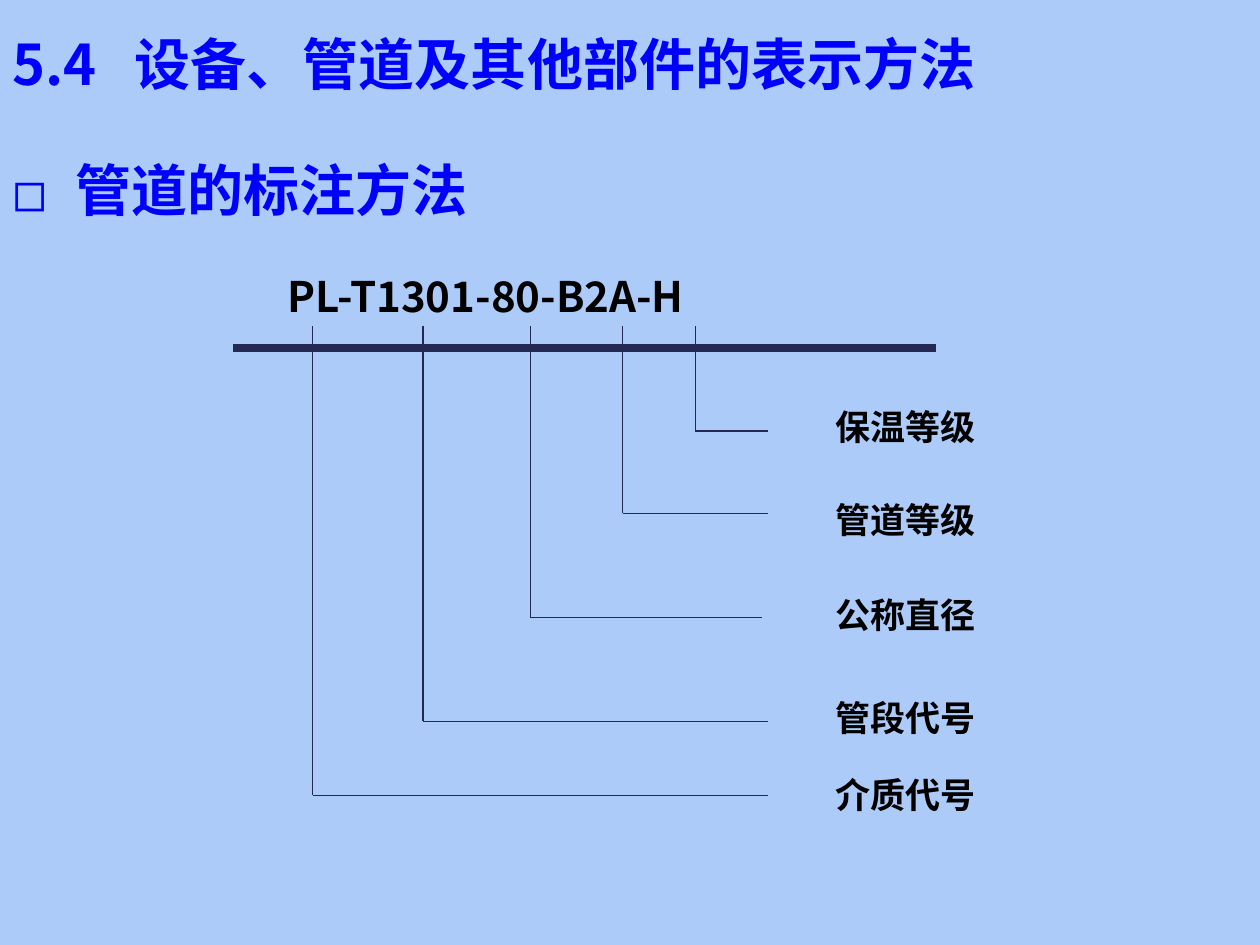
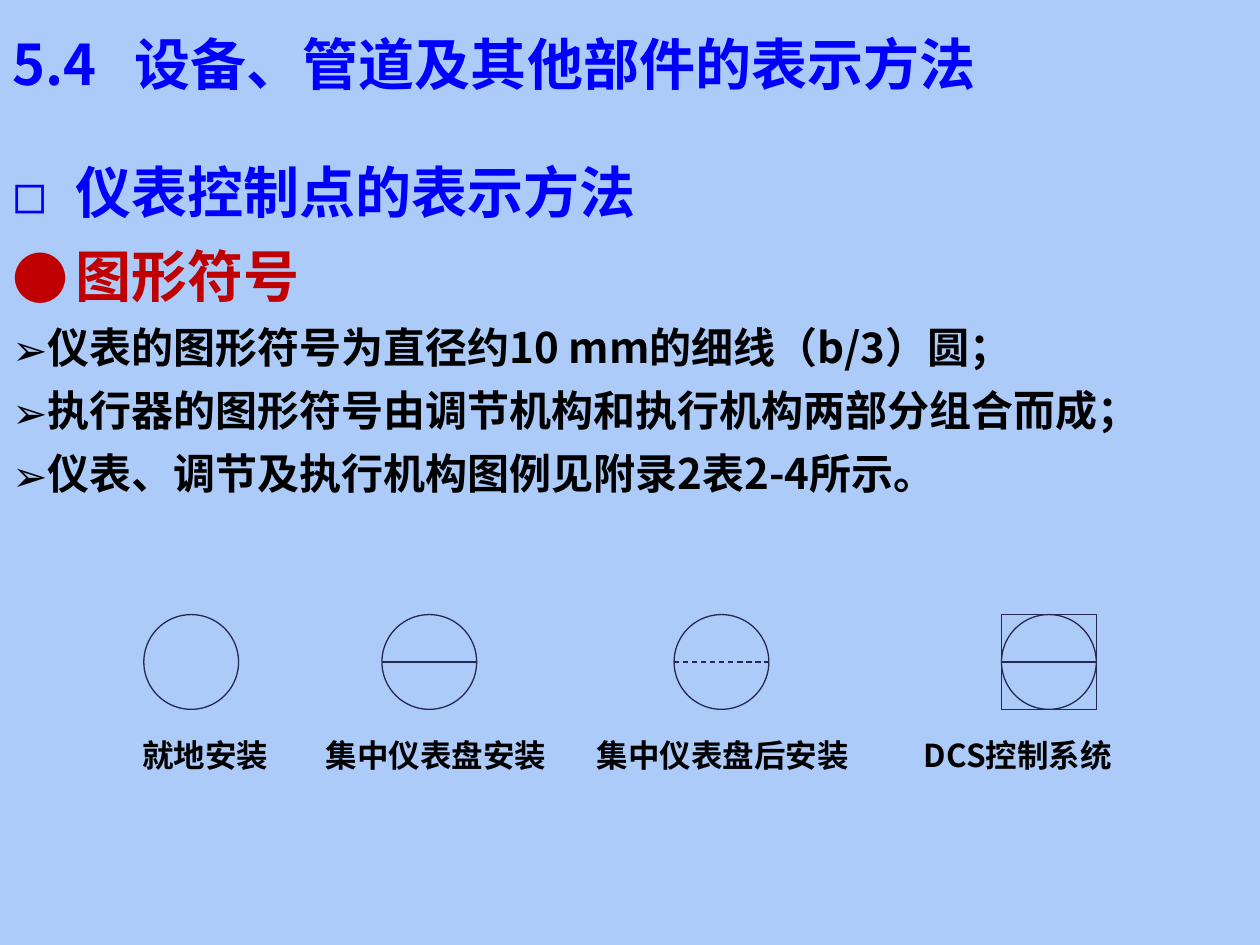
from lxml.etree import SubElement
from pptx import Presentation
from pptx.dml.color import RGBColor
from pptx.enum.dml import MSO_LINE
from pptx.enum.shapes import MSO_CONNECTOR, MSO_SHAPE
from pptx.enum.text import MSO_ANCHOR, PP_ALIGN
from pptx.oxml.ns import qn
from pptx.util import Cm, Pt

BACKGROUND = RGBColor(0xAC, 0xCB, 0xF9)
NAVY = RGBColor(0x24, 0x28, 0x52)
BLUE = RGBColor(0x00, 0x00, 0xFF)
RED = RGBColor(0xC0, 0x00, 0x00)
BLACK = RGBColor(0x00, 0x00, 0x00)
FONT = "Noto Sans CJK SC"
TITLE = "5.4\t设备、管道及其他部件的表示方法"


def add_text(text, page=None, place=None, frame=None, size=32, color=BLUE, bullet=None,
             indent=0, tab=None, spacing=None, align=PP_ALIGN.LEFT, anchor=MSO_ANCHOR.TOP):
    if frame is None:
        frame = page.shapes.add_textbox(*[Cm(length) for length in place]).text_frame
        frame.word_wrap = True
        frame.vertical_anchor = anchor
        para = frame.paragraphs[0]
    else:
        para = frame.add_paragraph()
    properties = para._p.get_or_add_pPr()
    if bullet:
        properties.set("marL", str(Cm(indent)))
        properties.set("indent", str(-Cm(indent)))
        bullet_color = SubElement(properties, qn("a:buClr"))
        SubElement(bullet_color, qn("a:srgbClr"), val=str(color))
        SubElement(properties, qn("a:buFont"), typeface=FONT)
        SubElement(properties, qn("a:buChar"), char=bullet)
    if tab:
        tabs = SubElement(properties, qn("a:tabLst"))
        SubElement(tabs, qn("a:tab"), pos=str(Cm(tab)), algn="l")
    para.alignment = align
    para.line_spacing = spacing
    span = para.add_run()
    span.text = text
    span.font.name = FONT
    span.font.size = Pt(size)
    span.font.bold = True
    span.font.color.rgb = color
    SubElement(span._r.get_or_add_rPr(), qn("a:ea"), typeface=FONT)
    return frame


def add_line(page, x1, y1, x2, y2, width=0.75, dash=None):
    line = page.shapes.add_connector(MSO_CONNECTOR.STRAIGHT, Cm(x1), Cm(y1), Cm(x2), Cm(y2))
    line.line.color.rgb = NAVY
    line.line.width = Pt(width)
    if dash:
        line.line.dash_style = dash
    SubElement(line._element.spPr, qn("a:effectLst"))


deck = Presentation()
deck.slide_width, deck.slide_height = Cm(25.4), Cm(19.05)
pages = [deck.slides.add_slide(deck.slide_layouts[6]) for _ in range(2)]
for page in pages:
    page.background.fill.solid()
    page.background.fill.fore_color.rgb = BACKGROUND
    add_text(TITLE, page, (0, 0.33, 25.4, 1.88), tab=2.47, anchor=MSO_ANCHOR.MIDDLE)
pipe_page, instrument_page = pages

add_text("管道的标注方法", pipe_page, (0, 2.69, 25.1, 1.9), bullet="◻", indent=1.27,
         spacing=1.25, anchor=MSO_ANCHOR.MIDDLE)
add_line(pipe_page, 4.7, 7.01, 18.87, 7.01, width=4.5)
add_text("PL-T1301-80-B2A-H", pipe_page, (5.54, 5.33, 13.13, 1.27), size=24, color=BLACK)

code_parts = [
    ("介质代号", 6.3, 16.03, 15.49, 15.47),
    ("管段代号", 8.53, 14.54, 15.49, 13.92),
    ("公称直径", 10.69, 12.45, 15.37, 11.84),
    ("管道等级", 12.55, 10.35, 15.49, 9.93),
    ("保温等级", 14.02, 8.69, 15.49, 8.05),
]
for label, x, bottom, end, label_top in code_parts:
    add_line(pipe_page, x, 6.58, x, bottom)
    add_line(pipe_page, x, bottom, end, bottom)
    add_text(label, pipe_page, (16.59, label_top, 5.7, 1.12), size=20, color=BLACK)

body = add_text("仪表控制点的表示方法", instrument_page, (0, 2.72, 25.1, 7.42), bullet="◻",
                indent=1.27, spacing=1.25, align=PP_ALIGN.JUSTIFY)
add_text("图形符号", frame=body, color=RED, bullet="●", indent=1.27, spacing=1.25,
         align=PP_ALIGN.JUSTIFY)
rules = [
    "仪表的图形符号为直径约10 mm的细线（b/3）圆；",
    "执行器的图形符号由调节机构和执行机构两部分组合而成；",
    "仪表、调节及执行机构图例见附录2表2-4所示。",
]
for rule in rules:
    add_text(rule, frame=body, size=24, color=BLACK, bullet="➢", spacing=1.25,
             align=PP_ALIGN.JUSTIFY)

symbol_top, symbol_size = 12.39, 1.91
symbol_middle = symbol_top + symbol_size / 2
symbols = [
    ("就地安装", 2.9, 4.14, [MSO_SHAPE.OVAL], None),
    ("集中仪表盘安装", 7.7, 8.79, [MSO_SHAPE.OVAL], MSO_LINE.SOLID),
    ("集中仪表盘后安装", 13.59, 14.57, [MSO_SHAPE.OVAL], MSO_LINE.DASH),
    ("DCS控制系统", 20.19, 20.52, [MSO_SHAPE.RECTANGLE, MSO_SHAPE.OVAL], MSO_LINE.SOLID),
]
for caption, left, caption_center, outlines, dash in symbols:
    for outline in outlines:
        shape = instrument_page.shapes.add_shape(
            outline, Cm(left), Cm(symbol_top), Cm(symbol_size), Cm(symbol_size))
        shape.shadow.inherit = False
        shape.fill.background()
        shape.line.color.rgb = NAVY
        shape.line.width = Pt(0.75)
    if dash:
        add_line(instrument_page, left, symbol_middle, left + symbol_size, symbol_middle,
                 dash=dash)
    add_text(caption, instrument_page, (caption_center - 3, 14.53, 6, 1.14), size=18,
             color=BLACK, spacing=1.25, align=PP_ALIGN.CENTER)

deck.save("out.pptx")
